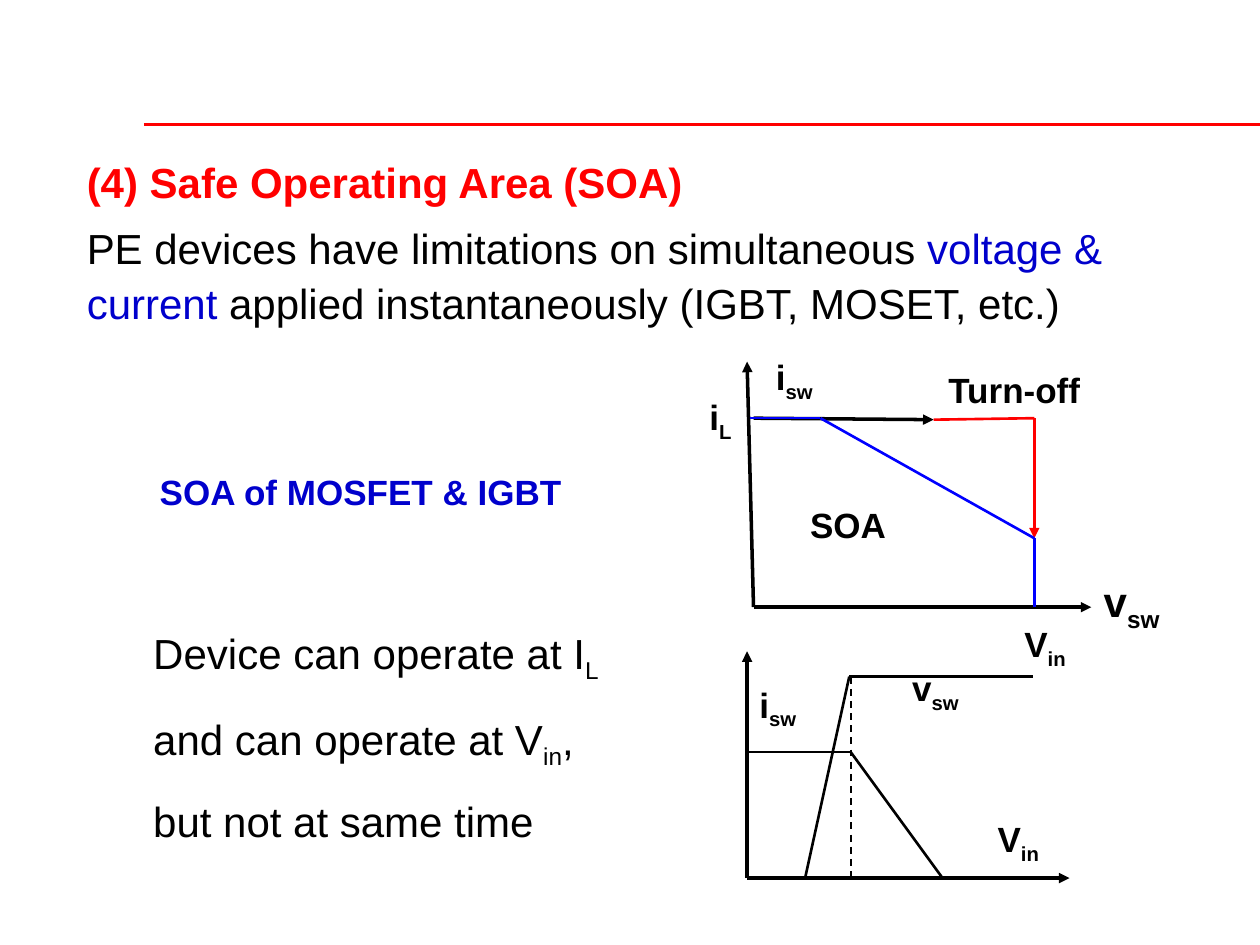
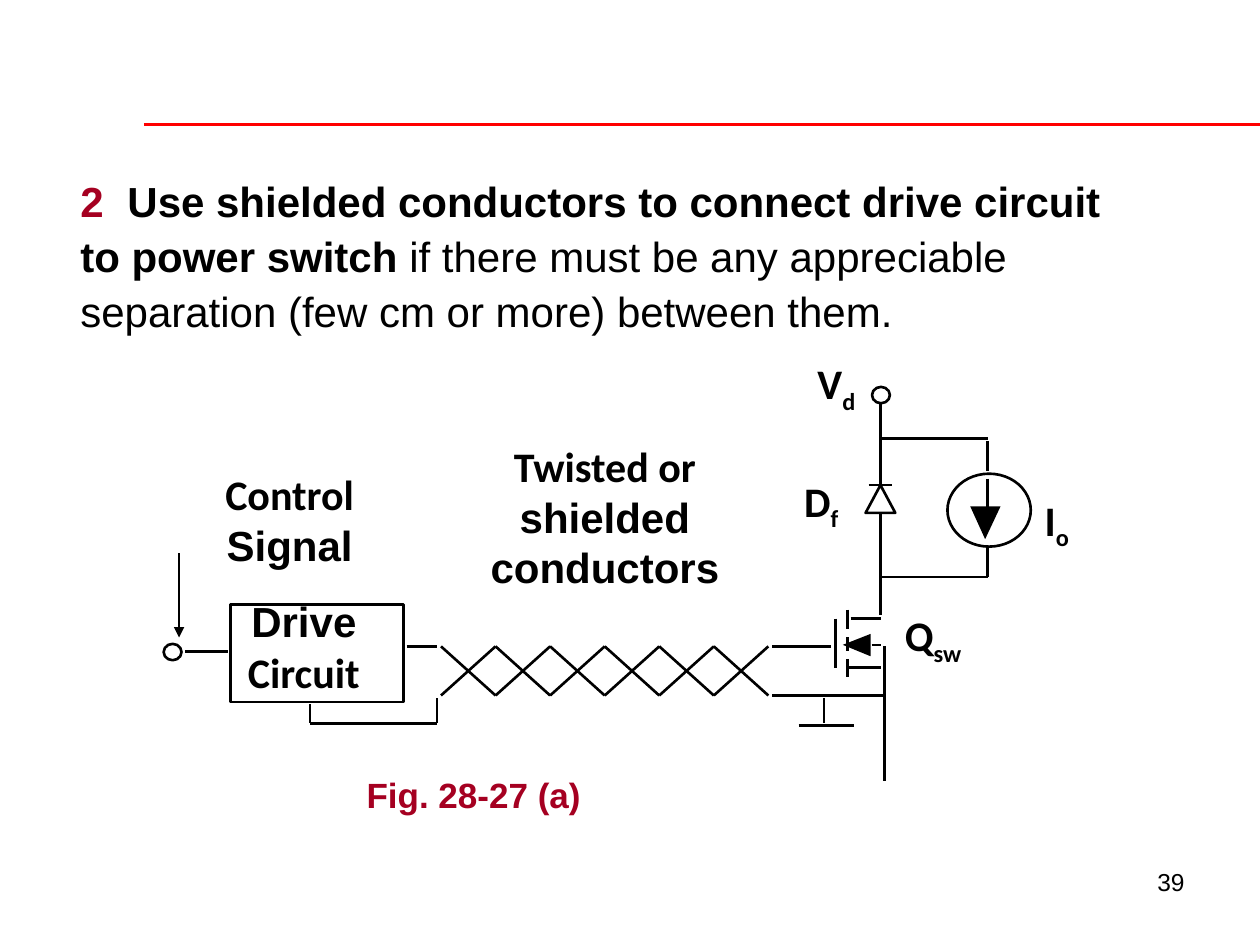
import pptx
import pptx.util
import pptx.dml.color
import pptx.enum.shapes
import pptx.enum.text
import pptx.oxml.ns
import lxml.etree

Cm = pptx.util.Cm
Pt = pptx.util.Pt
qn = pptx.oxml.ns.qn
SHAPE = pptx.enum.shapes.MSO_SHAPE
ALIGN = pptx.enum.text.PP_ALIGN
INKS = {
    "black": "000000",
    "red": "FF0000",
    "navy": "0000CC",
    "blue": "0000FF",
    "wine": "A50021",
}
PAD = (0.25, 0.13)


def tint(name):
    return pptx.dml.color.RGBColor.from_string(INKS[name])


def wire(slide, start, end, ink="black", width=1.5, arrow=False, dash=False):
    line = slide.shapes.add_connector(
        pptx.enum.shapes.MSO_CONNECTOR.STRAIGHT,
        Cm(start[0]), Cm(start[1]), Cm(end[0]), Cm(end[1]))
    line.line.color.rgb = tint(ink)
    line.line.width = Pt(width)
    stroke = line.line._get_or_add_ln()
    if dash:
        lxml.etree.SubElement(stroke, qn("a:prstDash"), val="dash")
    if arrow:
        lxml.etree.SubElement(stroke, qn("a:tailEnd"), type="triangle")
    lxml.etree.SubElement(line._element.spPr, qn("a:effectLst"))


def trace(slide, left, top, points, **style):
    spots = [(left + x, top + y) for x, y in points]
    for start, end in zip(spots, spots[1:]):
        wire(slide, start, end, **style)


def paint(shape, fill):
    shape.shadow.inherit = False
    shape.line.color.rgb = tint("black")
    shape.line.width = Pt(1.5)
    if fill:
        shape.fill.solid()
        shape.fill.fore_color.rgb = tint("black")
        shape.line.fill.background()
    else:
        shape.fill.background()


def form(slide, kind, left, top, width, height):
    paint(slide.shapes.add_shape(
        kind, Cm(left), Cm(top), Cm(width), Cm(height)), False)


def wedge(slide, left, top, points, fill):
    spots = [(Cm(left + x), Cm(top + y)) for x, y in points]
    pen = slide.shapes.build_freeform(*spots[0], scale=1.0)
    pen.add_line_segments(spots[1:], close=True)
    paint(pen.convert_to_shape(), fill)


def write(slide, left, top, width, height, paras, size=24, bold=False,
          ink="black", font="Arial", pad=PAD, align=ALIGN.LEFT,
          space=None, gap=0, stop=None, wrap=True):
    box = slide.shapes.add_textbox(Cm(left), Cm(top), Cm(width), Cm(height))
    frame = box.text_frame
    frame.word_wrap = wrap
    frame.margin_left = frame.margin_right = Cm(pad[0])
    frame.margin_top = frame.margin_bottom = Cm(pad[1])
    for count, runs in enumerate(paras):
        para = frame.add_paragraph() if count else frame.paragraphs[0]
        para.alignment = align
        if space:
            para.line_spacing = space
        if count:
            para.space_before = Pt(gap)
        if stop:
            tabs = lxml.etree.SubElement(
                para._p.get_or_add_pPr(), qn("a:tabLst"))
            lxml.etree.SubElement(
                tabs, qn("a:tab"), pos=str(Cm(stop)), algn="l")
        for text, look in runs:
            run = para.add_run()
            run.text = text
            run.font.name = look.get("font", font)
            run.font.size = Pt(size)
            run.font.bold = look.get("bold", bold)
            run.font.color.rgb = tint(look.get("ink", ink))
            if look.get("sub"):
                run._r.get_or_add_rPr().set("baseline", "-25000")


def label(slide, left, top, width, name, sub="", **style):
    runs = [(name, {})]
    if sub:
        runs.append((sub, {"sub": True}))
    style = {"size": 20, "bold": True, **style}
    write(slide, left, top, width, 1.22, [runs], **style)


def mark(slide, left, top, name, sub):
    label(slide, left, top, 1.3, name, sub, size=24, font="Calibri",
          pad=(0, 0), wrap=False)


def title(slide, left, top, width, height, runs):
    write(slide, left, top, width, height, [runs], bold=True,
          pad=(0, 0), align=ALIGN.CENTER)


def base(deck):
    slide = deck.slides.add_slide(deck.slide_layouts[6])
    wire(slide, (2.9, 2.51), (25.4, 2.51), "red")
    return slide


def area(slide, left, top, width, height):
    level, edge, drop = 1.14, 5.79, 3.56
    foot = (0.13, height)
    for start, end in [(foot, (0, 0)), (foot, (width, height)),
                       ((0.13, level), (3.76, level + 0.03))]:
        trace(slide, left, top, [start, end], width=2, arrow=True)
    trace(slide, left, top, [(3.76, level + 0.03), (edge, level)], ink="red")
    trace(slide, left, top, [(edge, level), (edge, drop)],
          ink="red", arrow=True)
    trace(slide, left, top, [(0.05, level), (1.48, level), (edge, drop),
                             (edge, height)], ink="blue")
    for x, y, room, name, sub in [
            (0.33, -0.25, 1.83, "i", "sw"), (-1.01, 0.56, 1.37, "i", "L"),
            (1.02, 2.74, 2.51, "SOA", ""), (3.81, 0, 3.86, "Turn-off", ""),
            (5.34, 5.13, 1.83, "V", "in")]:
        label(slide, left + x, top + y, room, name, sub)
    label(slide, left + width, top + 4.19, 2.24, "v", "sw", size=24)


def wave(slide, left, top, width, height):
    peak, flat, turn = 0.51, 2.03, 2.09
    for end in [(0, 0), (width, height)]:
        trace(slide, left, top, [(0, height), end], width=2, arrow=True)
    trace(slide, left, top, [(0, flat), (turn, flat), (3.94, height)])
    trace(slide, left, top, [(1.17, height), (turn - 0.03, peak),
                             (5.77, peak)])
    trace(slide, left, top, [(turn, peak), (turn, height)],
          width=1, dash=True)
    for x, y, name, sub in [(3.08, 0.18, "v", "sw"), (0, peak, "i", "sw"),
                            (4.8, 3.23, "V", "in")]:
        label(slide, left + x, top + y, 1.85, name, sub)


def drive(slide, left, top, width, height):
    form(slide, SHAPE.RECTANGLE, left, top, width, height)
    title(slide, left - 0.15, top - 0.18, 3.25, 2.03,
          [("Drive ", {}), ("Circuit", {"font": "Calibri"})])
    title(slide, left - 0.74, top - 2.74, 3.86, 2.03,
          [("Control ", {"font": "Calibri"}), ("Signal", {})])
    form(slide, SHAPE.OVAL, left - 1.35, top + 0.79, 0.36, 0.33)
    for points in [[(-0.92, 0.94), (-0.05, 0.94)],
                   [(3.55, 0.84), (4.16, 0.84)],
                   [(1.6, 2.01), (1.6, 2.39), (4.16, 2.39), (4.16, 1.88)]]:
        trace(slide, left, top, points)
    trace(slide, left, top, [(-1.04, -1.04), (-1.04, 0.66)],
          width=1, arrow=True)


def cable(slide, left, top, width, height):
    turns = 6
    for phase in range(2):
        trace(slide, left, top,
              [(width * step / turns, height * ((step + phase) % 2))
               for step in range(turns + 1)])
    title(slide, left + 0.64, top - 4.14, 5.33, 3.05,
          [("Twisted or ", {"font": "Calibri"}),
           ("shielded conductors", {})])


def power(slide, left, top):
    side, head, tail = 2.16, 1.04, 3.83
    form(slide, SHAPE.OVAL, left - 0.17, top, 0.36, 0.33)
    form(slide, SHAPE.OVAL, left + 1.35, top + 1.75, 1.68, 1.47)
    rails = [
        [(0, 0.3), (0, 1.98)], [(0, 2.54), (0, 4.6)],
        [(-0.24, 1.98), (0.24, 1.98)],
        [(0, head), (side, head)], [(side, head + 0.05), (side, 1.7)],
        [(side, 1.85), (side, 2.44)],
        [(side, 3.2), (side, tail), (0, tail)],
    ]
    gate = [
        [(-0.91, 4.67), (-0.91, 5.66)], [(-0.66, 4.49), (-0.66, 4.87)],
        [(-0.66, 5.05), (-0.66, 5.33)], [(-0.66, 5.48), (-0.66, 5.84)],
        [(-0.6, 4.67), (0, 4.67)], [(-0.66, 5.66), (0, 5.66)],
        [(-0.18, 5.2), (0, 5.2)], [(-2.18, 5.23), (-0.99, 5.23)],
    ]
    ground = [
        [(0.08, 5.23), (0.08, 7.95)], [(-2.18, 6.22), (0.08, 6.22)],
        [(-1.14, 6.27), (-1.14, 6.78)], [(-1.65, 6.83), (-0.53, 6.83)],
    ]
    for points in rails + gate + ground:
        trace(slide, left, top, points)
    wedge(slide, left, top, [(0, 1.98), (0.3, 2.54), (-0.3, 2.54)], False)
    wedge(slide, left, top, [(1.81, 2.41), (2.42, 2.41), (2.11, 3.07)], True)
    wedge(slide, left, top, [(-0.2, 4.98), (-0.76, 5.2), (-0.2, 5.43)], True)
    for x, y, name, sub in [(3.31, 2.16, "I", "o"), (-1.54, 1.78, "D", "f"),
                            (0.49, 4.49, "Q", "sw"), (-1.27, -0.59, "V", "d")]:
        mark(slide, left + x, top + y, name, sub)


def safe(deck):
    slide = base(deck)
    write(slide, 1.5, 2.92, 21.79, 3.84, [
        [("(4) Safe Operating Area (SOA)", {"ink": "red", "bold": True})],
        [("PE devices have limitations on simultaneous ", {}),
         ("voltage & current", {"ink": "navy"}),
         (" applied instantaneously (IGBT, MOSET, etc.)", {})],
    ], space=1.1, gap=6)
    write(slide, 2.84, 11.94, 9.6, 5.26, [
        [("Device can operate at I", {}), ("L", {"sub": True}),
         (" and can operate at V", {}), ("in", {"sub": True}),
         (", but not at same time", {})],
    ], space=1.5)
    label(slide, 2.97, 9.35, 9.47, "SOA of MOSFET & IGBT", ink="navy")
    area(slide, 15.06, 7.29, 6.94, 4.95)
    wave(slide, 15.06, 13.13, 6.5, 4.57)


def shield(deck):
    slide = base(deck)
    write(slide, 1.37, 3.3, 21.41, 3.61, [
        [("2\t", {"ink": "wine", "bold": True}),
         ("Use shielded conductors to connect drive circuit to power switch",
          {"bold": True}),
         (" if there must be any appreciable separation (few cm or more) "
          "between them.", {})],
    ], space=1.1, stop=0.95)
    power(slide, 17.75, 7.8)
    drive(slide, 4.65, 12.19, 3.48, 1.96)
    cable(slide, 8.89, 13.03, 6.6, 0.99)
    label(slide, 7.14, 15.47, 8.31, "Fig. 28-27 (a)", ink="wine")
    write(slide, 18.21, 17.35, 5.92, 1.32, [[("39", {})]],
          size=14, align=ALIGN.RIGHT)


def main():
    deck = pptx.Presentation()
    deck.slide_width = Cm(25.4)
    deck.slide_height = Cm(19.05)
    safe(deck)
    shield(deck)
    deck.save("out.pptx")


if __name__ == "__main__":
    main()
